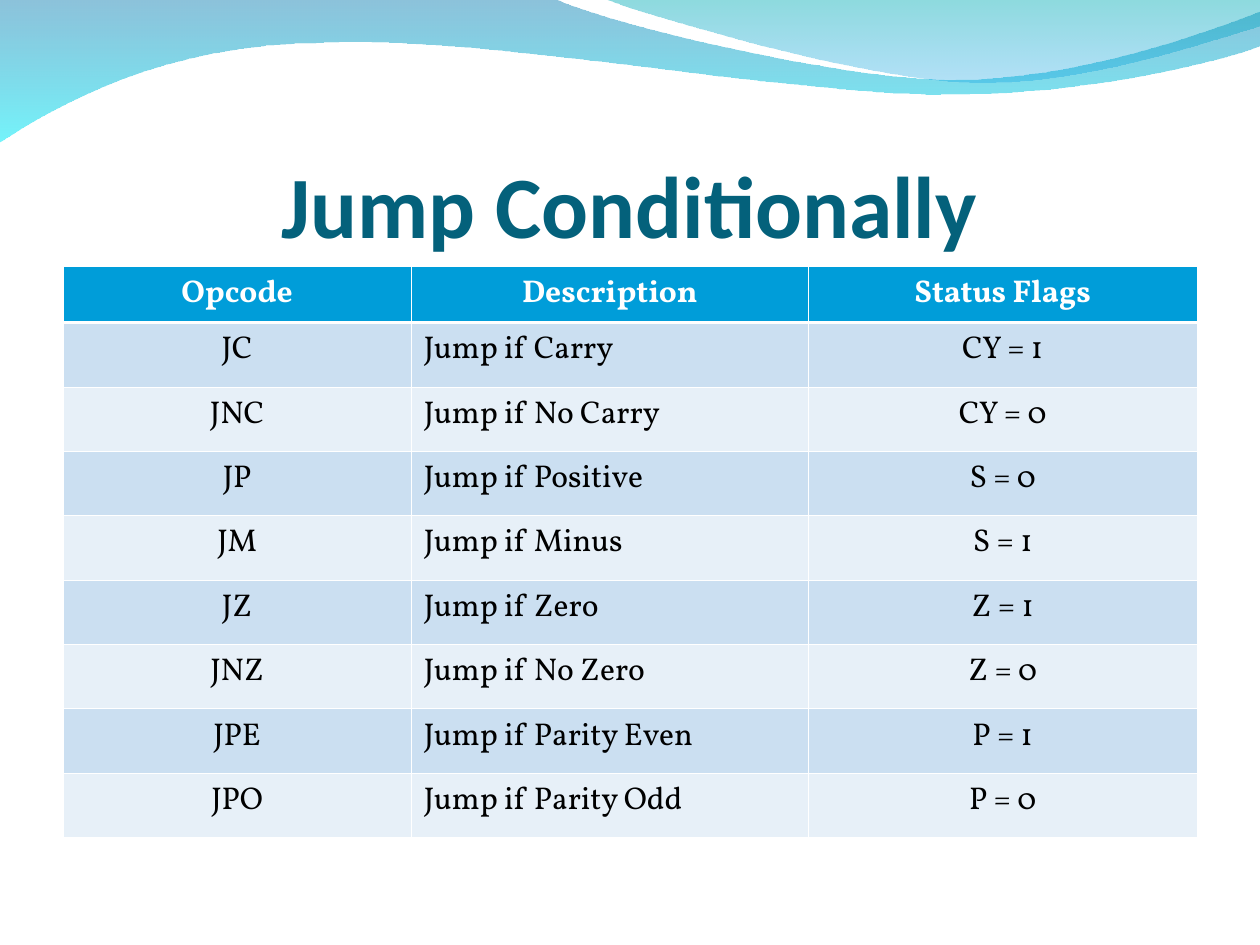
import pptx
import pptx.dml.color
import pptx.enum.text
import pptx.oxml.ns
import pptx.util
from lxml import etree

Pt = pptx.util.Pt
qn = pptx.oxml.ns.qn
LEFT = pptx.enum.text.PP_ALIGN.LEFT
CENTER = pptx.enum.text.PP_ALIGN.CENTER


def color(hex_code):
    return pptx.dml.color.RGBColor.from_string(hex_code)


def write(frame, text, size=18, font="Vollkorn", ink="000000", bold=False, align=CENTER):
    para = frame.paragraphs[0]
    para.alignment = align
    span = para.add_run()
    span.text = text
    span.font.size = Pt(size)
    span.font.name = font
    span.font.bold = bold
    span.font.color.rgb = color(ink)


deck = pptx.Presentation()
deck.slide_width, deck.slide_height = Pt(720), Pt(540)
page = deck.slides.add_slide(deck.slide_layouts[6])

# Waves: outlines in points; one pair makes a line, three pairs a Bezier curve.
# Each gradient stop is a colour and an opacity in percent.
waves = [
    ([[(0, -0.7)],
      [(316.8, -0.7)],
      [(342.7, 12.2), (478.1, 45.4), (545.8, 45.4)],
      [(614.2, 45.4), (689.8, 18.7), (720, 6.5)],
      [(720.7, 25.9)],
      [(707.8, 31.7), (626.4, 54.7), (537.1, 54)],
      [(447.8, 54), (275, 20.2), (185, 24.5)],
      [(92.9, 25.2), (33.1, 59.8), (-0.7, 81.4)]],
     [("0079AF", 45), ("00EBF8", 55)]),
    ([[(344.9, -0.7)],
      [(366.5, 7.9), (491, 44.6), (553.7, 46.8)],
      [(616.3, 49.7), (691.9, 23), (720, 15.1)],
      [(720, 0)]],
     [("00ADB6", 45), ("009BE5", 30)]),
]
for outline, stops in waves:
    points = [(Pt(x), Pt(y)) for segment in outline for x, y in segment]
    builder = page.shapes.build_freeform(*points[0])
    builder.add_line_segments(points[1:], close=True)
    wave = builder.convert_to_shape()

    # Join the three points of each curve into one Bezier element.
    lines = wave._element.iter(qn("a:lnTo"))
    lines = iter(list(lines))
    for segment in outline[1:]:
        first, *others = [next(lines) for _ in segment]
        if others:
            curve = etree.Element(qn("a:cubicBezTo"))
            first.addprevious(curve)
            for line in (first, *others):
                curve.append(line[0])
                line.getparent().remove(line)

    wave.shadow.inherit = False
    wave.line.fill.background()
    wave.fill.gradient()
    wave.fill.gradient_angle = 270
    for stop, (hex_code, _) in zip(wave.fill.gradient_stops, stops):
        stop.color.rgb = color(hex_code)
    for node, (_, opacity) in zip(wave._element.iter(qn("a:gs")), stops):
        etree.SubElement(node[0], qn("a:alpha"), val=str(opacity * 1000))

title = page.shapes.add_textbox(Pt(36), Pt(56), Pt(648), Pt(90)).text_frame
title.word_wrap = True
title.vertical_anchor = pptx.enum.text.MSO_ANCHOR.BOTTOM
title.margin_left = title.margin_right = title.margin_bottom = 0
title.margin_top = Pt(3.6)
write(title, "Jump Conditionally", size=50, font="Calibri", ink="04617B", bold=True)

rows = [
    ("Opcode", "Description", "Status Flags"),
    ("JC", "Jump if Carry", "CY = 1"),
    ("JNC", "Jump if No Carry", "CY = 0"),
    ("JP", "Jump if Positive", "S = 0"),
    ("JM", "Jump if Minus", "S = 1"),
    ("JZ", "Jump if Zero", "Z = 1"),
    ("JNZ", "Jump if No Zero", "Z = 0"),
    ("JPE", "Jump if Parity Even", "P = 1"),
    ("JPO", "Jump if Parity Odd", "P = 0"),
]
HEADER_HEIGHT, ROW_HEIGHT = 32, 36.8
table_height = HEADER_HEIGHT + ROW_HEIGHT * (len(rows) - 1)
table = page.shapes.add_table(len(rows), 3, Pt(36), Pt(152.3), Pt(648), Pt(table_height)).table
for column, width in zip(table.columns, (199, 227, 222)):
    column.width = Pt(width)

for i, texts in enumerate(rows):
    header = i == 0
    table.rows[i].height = Pt(HEADER_HEIGHT if header else ROW_HEIGHT)
    for j, text in enumerate(texts):
        cell = table.cell(i, j)
        properties = cell._tc.get_or_add_tcPr()
        for side in ("lnL", "lnR", "lnT", "lnB"):
            under_header = (i, side) in ((0, "lnB"), (1, "lnT"))
            border = etree.SubElement(properties, qn("a:" + side),
                                      w=str(Pt(1.47 if under_header else 0.45)))
            paint = etree.SubElement(border, qn("a:solidFill"))
            etree.SubElement(paint, qn("a:srgbClr"), val="FFFFFF")
        cell.fill.solid()
        cell.fill.fore_color.rgb = color("009DD9" if header else ("E7F0F8", "CBDFF1")[i % 2])
        write(cell.text_frame, text, bold=header, ink="FFFFFF" if header else "000000",
              align=LEFT if j == 1 and not header else CENTER)

deck.save("out.pptx")
